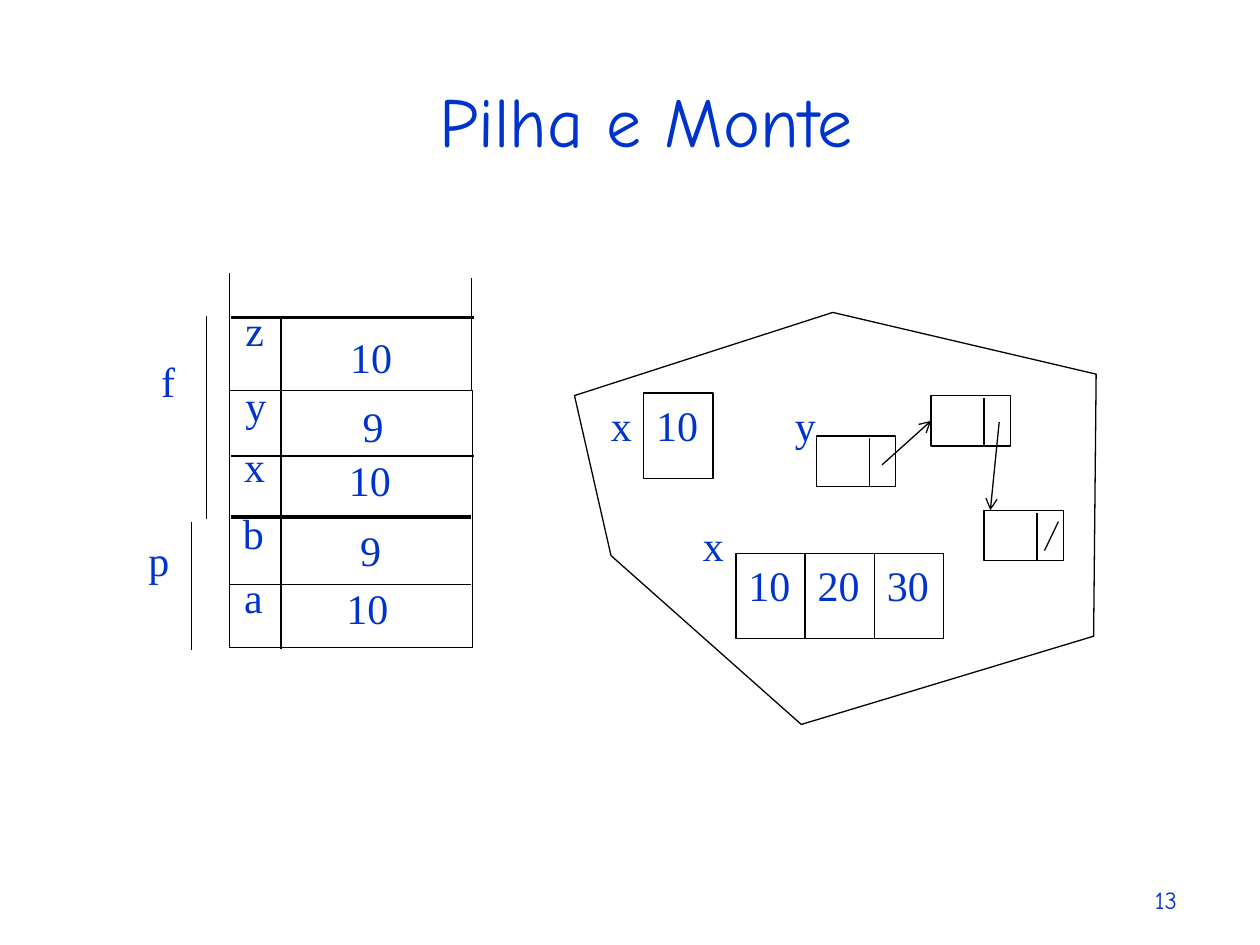
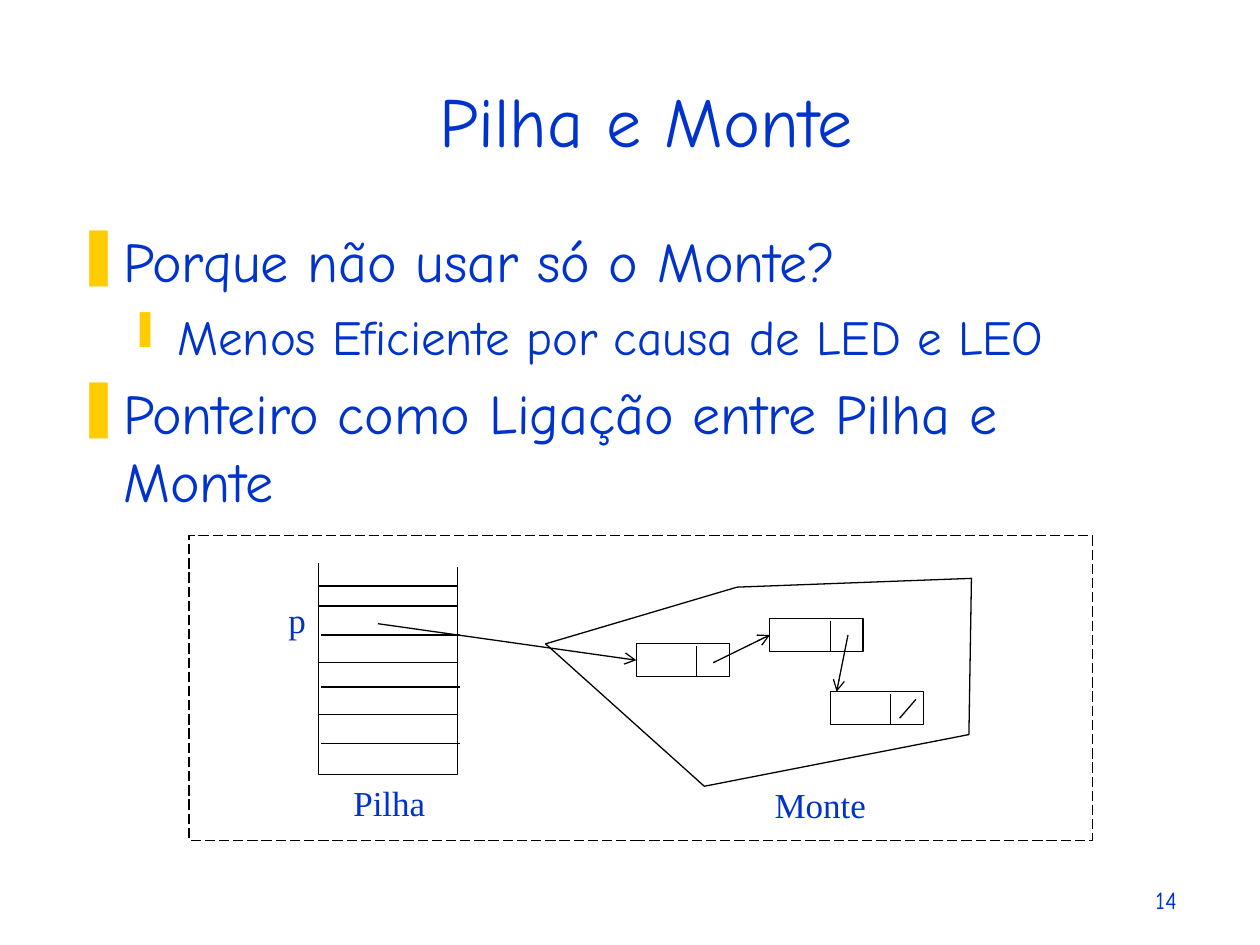
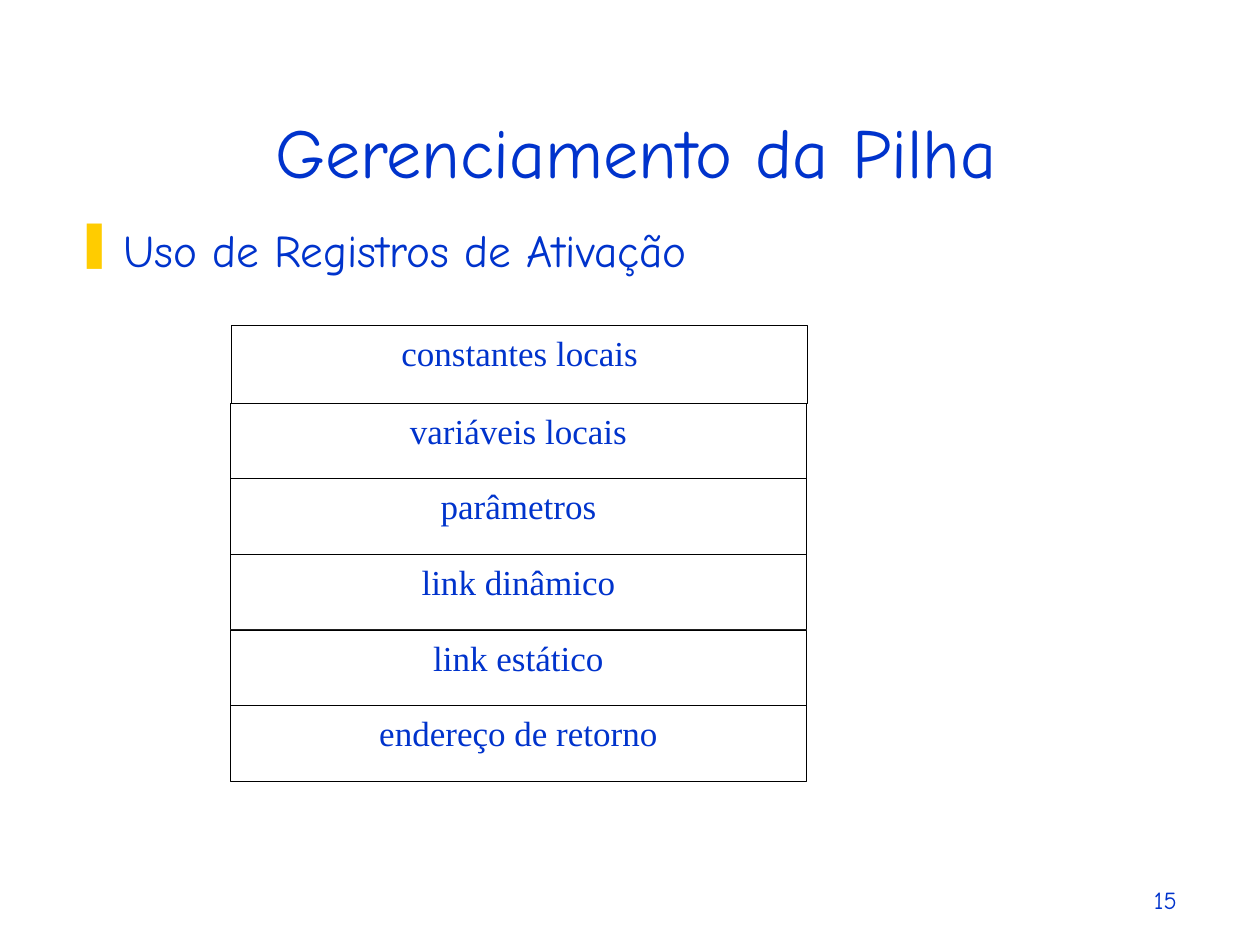
from lxml.etree import SubElement
from pptx import Presentation
from pptx.dml.color import RGBColor
from pptx.enum.dml import MSO_LINE
from pptx.enum.shapes import MSO_CONNECTOR, MSO_SHAPE
from pptx.enum.text import MSO_ANCHOR, MSO_AUTO_SIZE, PP_ALIGN
from pptx.oxml.ns import qn
from pptx.util import Inches, Pt

BLUE = RGBColor(0x00, 0x33, 0xCC)
YELLOW = RGBColor(0xFF, 0xCC, 0x00)
BLACK = RGBColor(0x00, 0x00, 0x00)
WHITE = RGBColor(0xFF, 0xFF, 0xFF)
HAND, SERIF = "Comic Neue", "Times New Roman"
LEFT, CENTER, RIGHT = PP_ALIGN.LEFT, PP_ALIGN.CENTER, PP_ALIGN.RIGHT

# level: (bullet, left margin, hanging indent)
BULLETS = {0: ("❚", 0.38, 0.38), 1: ("❙", 0.81, 0.31)}


class Deck:
    def __init__(self):
        self.prs = Presentation()
        self.prs.slide_width, self.prs.slide_height = Inches(10), Inches(7.5)
        self.s = None

    def slide(self, title, number, left=0.25, top=0.25):
        self.s = self.prs.slides.add_slide(self.prs.slide_layouts[5])
        sp = self.s.shapes.title
        sp.left, sp.top, sp.width, sp.height = map(Inches, (left, top, 9.75, 1.08))
        self.fill_text(sp.text_frame, title, 40, HAND, CENTER, MSO_ANCHOR.BOTTOM)
        self.text(number, 7.36, 6.81, 2.08, 0.5, 14, HAND, RIGHT, MSO_ANCHOR.BOTTOM)

    def frame(self, tf, anchor):
        settings = {
            "word_wrap": True, "auto_size": MSO_AUTO_SIZE.NONE, "vertical_anchor": anchor,
            "margin_left": Inches(0.1), "margin_right": Inches(0.1),
            "margin_top": Inches(0.05), "margin_bottom": Inches(0.05),
        }
        for name, value in settings.items():
            setattr(tf, name, value)

    def add_run(self, p, text, size, font):
        r = p.add_run()
        r.text = text
        for name, value in {"size": Pt(size), "name": font}.items():
            setattr(r.font, name, value)
        r.font.color.rgb = BLUE

    def fill_text(self, tf, text, size, font, align, anchor):
        self.frame(tf, anchor)
        p = tf.paragraphs[0]
        p.alignment = align
        self.add_run(p, text, size, font)

    def text(self, text, x, y, w, h, size=24, font=SERIF, align=LEFT, anchor=MSO_ANCHOR.TOP):
        sp = self.s.shapes.add_textbox(*map(Inches, (x, y, w, h)))
        self.fill_text(sp.text_frame, text, size, font, align, anchor)

    def bullets(self, items, x, y, w, h, spacing=1.0):
        """Add a bulleted list of (level, text, size, space before)."""
        tf = self.s.shapes.add_textbox(*map(Inches, (x, y, w, h))).text_frame
        self.frame(tf, MSO_ANCHOR.TOP)
        for i, (level, text, size, before) in enumerate(items):
            p = tf.add_paragraph() if i else tf.paragraphs[0]
            p.level, p.space_before, p.line_spacing = level, Pt(before), spacing
            self.add_run(p, text, size, HAND)
            mark, margin, hang = BULLETS[level]
            pPr = p._p.get_or_add_pPr()
            pPr.set("marL", str(Inches(margin)))
            pPr.set("indent", str(-Inches(hang)))
            color = SubElement(pPr, qn("a:buClr"))
            SubElement(color, qn("a:srgbClr"), val=str(YELLOW))
            SubElement(pPr, qn("a:buChar"), char=mark)

    def outline(self, sp, weight=0.75):
        sp.shadow.inherit = False
        sp.fill.background()
        sp.line.width = Pt(weight)
        sp.line.color.rgb = BLACK
        return sp

    def rect(self, x, y, w, h, weight=0.75):
        sp = self.s.shapes.add_shape(MSO_SHAPE.RECTANGLE, *map(Inches, (x, y, w, h)))
        return self.outline(sp, weight)

    def box(self, text, x, y, w, h, size=24, align=LEFT, weight=0.75):
        """Add a white rectangle with text."""
        sp = self.rect(x, y, w, h, weight)
        sp.fill.solid()
        sp.fill.fore_color.rgb = WHITE
        self.fill_text(sp.text_frame, text, size, SERIF, align, MSO_ANCHOR.TOP)

    def polygon(self, points):
        start, *rest = [(Inches(x), Inches(y)) for x, y in points]
        fb = self.s.shapes.build_freeform(*start)
        fb.add_line_segments(rest, close=True)
        self.outline(fb.convert_to_shape())

    def line(self, x1, y1, x2, y2, weight=0.75, arrow=False):
        c = self.s.shapes.add_connector(MSO_CONNECTOR.STRAIGHT, *map(Inches, (x1, y1, x2, y2)))
        c.line.width = Pt(weight)
        c.line.color.rgb = BLACK
        spPr = c.element.spPr
        if arrow:
            SubElement(spPr.find(qn("a:ln")), qn("a:tailEnd"), type="arrow")
        SubElement(spPr, qn("a:effectLst"))
        return c

    def pointer(self, x, y, node):
        """Draw an arrow from a point to the middle of a node's left side."""
        self.line(x, y, x, y, arrow=True).end_connect(node, 1)

    def linked_list(self, corners, w, h, split, link, drop, null):
        """Draw three nodes, the two links between them and the null slash."""
        nodes = [self.rect(x, y, w, h) for x, y in corners]
        for x, y in corners:
            self.line(x + split, y + 0.02, x + split, y + h)
        self.pointer(*link, nodes[1])
        self.line(*drop, arrow=True)
        self.line(*null)
        return nodes


def stack_and_heap(d):
    d.slide("Pilha e Monte", "13")
    d.rect(1.82, 3.1, 1.93, 2.04)
    for x, top, bottom in ((1.82, 2.17, 3.1), (3.74, 2.21, 3.1), (1.64, 2.51, 4.12),
                           (1.52, 4.14, 5.16), (2.23, 2.52, 5.15)):
        d.line(x, top, x, bottom)
    for x1, x2, y, weight in ((1.83, 3.76, 2.52, 2.25), (1.83, 3.76, 3.62, 0.75),
                              (1.83, 3.74, 4.1, 2.25), (1.82, 3.74, 4.64, 0.75)):
        d.line(x1, y, x2, y, weight)
    for name, x, y in (("f", 1.18, 2.77), ("p", 1.08, 4.19), ("z", 1.85, 2.37), ("y", 1.85, 2.96),
                       ("x", 1.84, 3.45), ("b", 1.83, 3.98), ("a", 1.84, 4.49)):
        d.text(name, x, y, 0.4, 0.87)
    for value, x, y in (("10", 2.68, 2.58), ("9", 2.78, 3.13), ("10", 2.67, 3.56),
                        ("9", 2.76, 4.11), ("10", 2.65, 4.57)):
        d.text(value, x, y, 0.54, 0.55)

    d.polygon([(4.56, 3.14), (4.85, 4.41), (6.36, 5.75), (8.68, 5.05), (8.7, 2.97), (6.61, 2.48)])
    d.box("10", 5.11, 3.12, 0.55, 0.68)
    for i, value in enumerate(("10", "20", "30")):
        d.box(value, 5.84 + 0.55 * i, 4.39, 0.55, 0.68)
    d.linked_list([(6.48, 3.46), (7.39, 3.14), (7.81, 4.05)], 0.63, 0.4, 0.42,
                  link=(7, 3.69), drop=(7.93, 3.35, 7.86, 4.05), null=(8.4, 4.14, 8.29, 4.37))
    for name, x, y in (("x", 4.75, 3.12), ("y", 6.21, 3.12), ("x", 5.48, 4.07)):
        d.text(name, x, y, 0.55, 0.95)


def pointer_between(d):
    d.slide("Pilha e Monte", "14")
    d.bullets([(0, "Porque não usar só o Monte?", 32, 8),
               (1, "Menos Eficiente por causa de LED e LEO", 28, 7),
               (0, "Ponteiro como Ligação entre Pilha e Monte", 32, 8)], 0.5, 1.75, 8.42, 5)
    d.rect(2.53, 4.81, 1.1, 1.34)
    d.polygon([(4.33, 5.11), (5.85, 4.66), (7.71, 4.59), (7.69, 5.83), (5.59, 6.24)])
    d.line(2.53, 4.8, 2.53, 4.47)
    d.line(3.63, 4.82, 3.63, 4.5)
    for x, y, weight in ((2.53, 4.65, 1), (2.55, 5.04, 0.75), (2.53, 5.26, 0.75),
                         (2.55, 5.45, 1), (2.53, 5.67, 0.75), (2.55, 5.9, 0.75)):
        d.line(x, y, x + 1.1, y, weight)
    nodes = d.linked_list([(5.05, 5.11), (6.11, 4.91), (6.59, 5.49)], 0.74, 0.26, 0.48,
                          link=(5.66, 5.26), drop=(6.73, 5.04, 6.64, 5.49),
                          null=(7.27, 5.55, 7.14, 5.7))
    d.pointer(3, 4.95, nodes[0])
    d.text("p", 2.19, 4.7, 0.52, 0.52, 20)
    d.text("Pilha", 2.6, 6.15, 0.98, 0.44, 20, align=CENTER)
    d.text("Monte", 6.02, 6.17, 0.98, 0.44, 20, align=CENTER)
    d.rect(1.5, 4.25, 7.17, 2.42).line.dash_style = MSO_LINE.LONG_DASH


def activation_record(d):
    d.slide("Gerenciamento da Pilha", "15", 0.17, 0.5)
    d.bullets([(0, "Uso de Registros de Ativação", 25.9, 7)], 0.5, 1.83, 8.94, 0.75, 0.7)
    fields = ("variáveis locais", "parâmetros", "link dinâmico", "link estático",
              "endereço de retorno")
    style = {"size": 20, "align": CENTER, "weight": 0.5}
    for i, field in enumerate(fields):
        d.box(field, 1.83, 3.2 + 0.6 * i, 4.57, 0.6, **style)
    d.box("constantes locais", 1.84, 2.58, 4.57, 0.62, **style)


def main():
    d = Deck()
    stack_and_heap(d)
    pointer_between(d)
    activation_record(d)
    d.prs.save("out.pptx")


if __name__ == "__main__":
    main()
